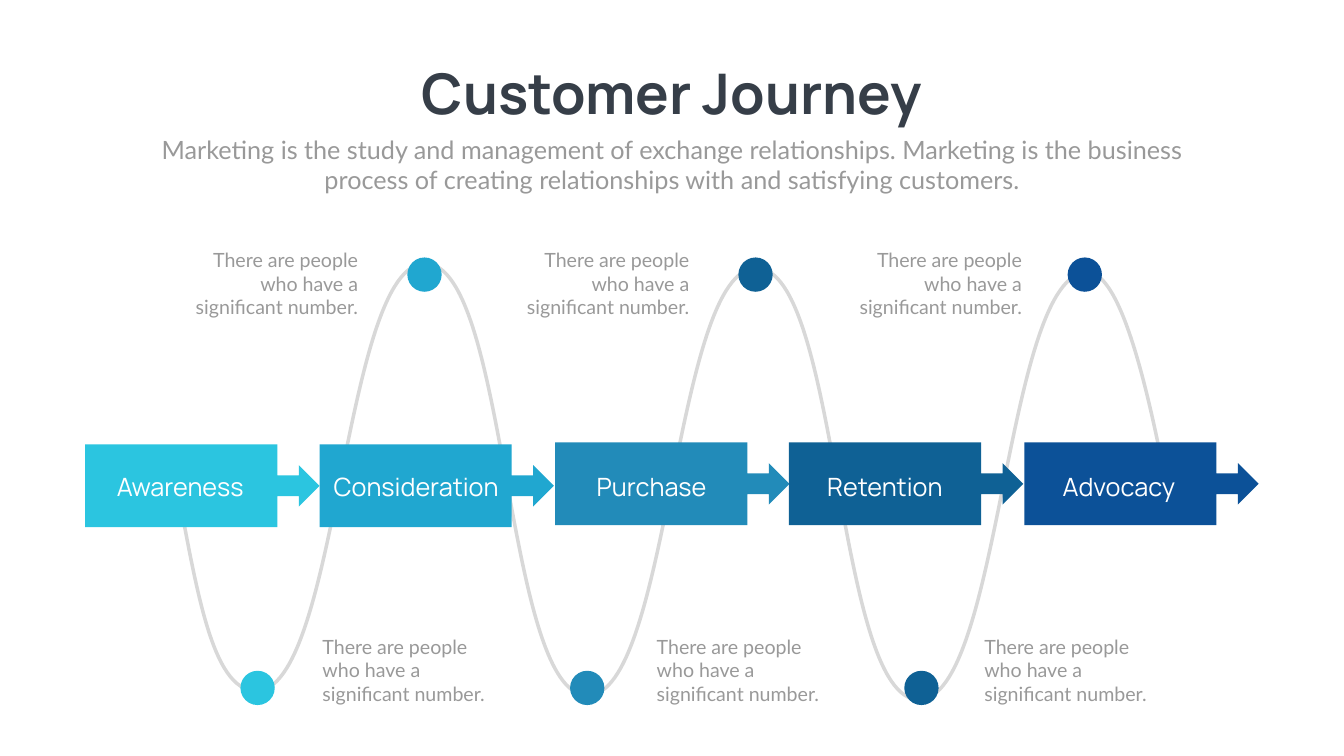
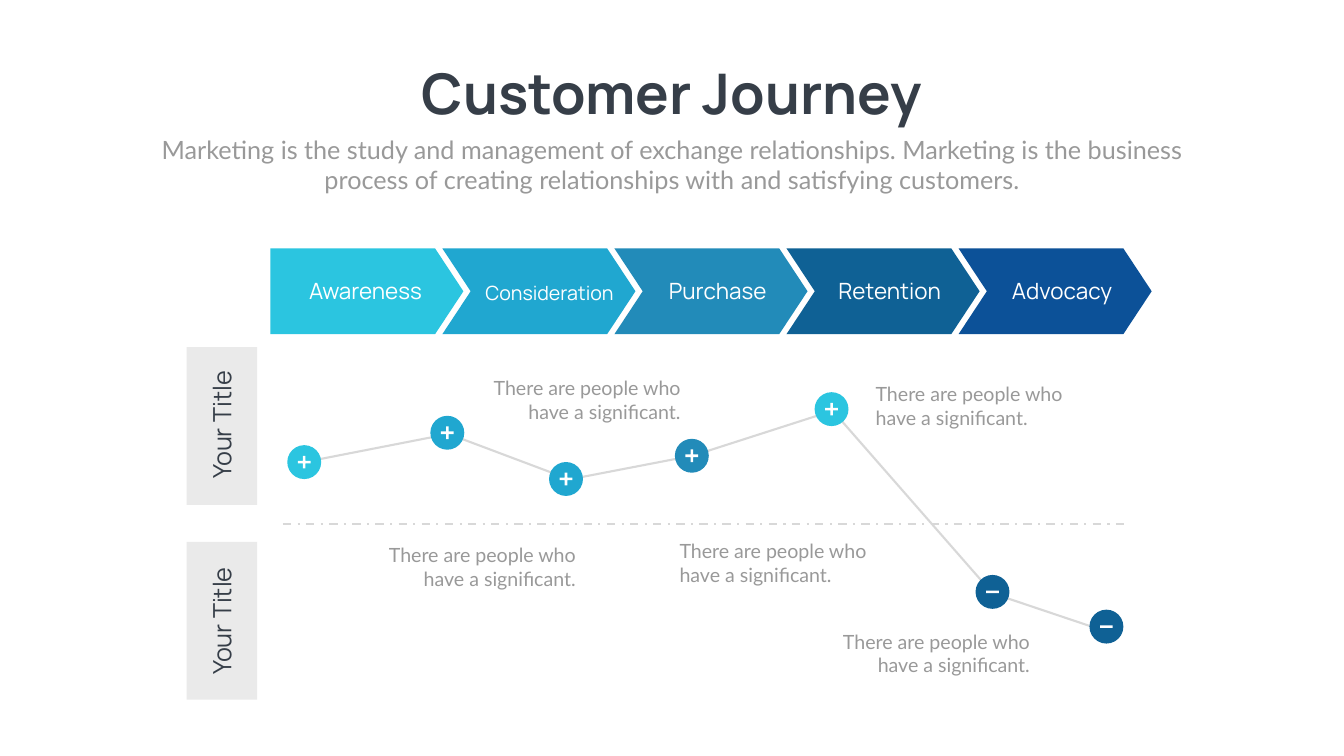
from lxml import etree
from pptx import Presentation
from pptx.dml.color import RGBColor
from pptx.enum.dml import MSO_LINE
from pptx.enum.shapes import MSO_CONNECTOR, MSO_SHAPE as SHAPE
from pptx.enum.text import MSO_ANCHOR, MSO_AUTO_SIZE, PP_ALIGN as ALIGN
from pptx.oxml.ns import qn
from pptx.util import Cm, Pt

CYAN = RGBColor(0x2B, 0xC5, 0xE0)
SKY = RGBColor(0x20, 0xA7, 0xD0)
STEEL = RGBColor(0x22, 0x8B, 0xB9)
OCEAN = RGBColor(0x0F, 0x61, 0x95)
NAVY = RGBColor(0x0C, 0x51, 0x98)
INK = RGBColor(0x36, 0x3E, 0x48)
GRAY = RGBColor(0x99, 0x99, 0x99)
LINE_GRAY = RGBColor(0xD8, 0xD8, 0xD8)
TAB_GRAY = RGBColor(0xEA, 0xEA, 0xEA)
WHITE = RGBColor(0xFF, 0xFF, 0xFF)

HEADING_FONT = "Manrope"
BODY_FONT = "Lato"

STAGES = [("Awareness", CYAN), ("Consideration", SKY), ("Purchase", STEEL),
          ("Retention", OCEAN), ("Advocacy", NAVY)]
SUBTITLE = ("Marketing is the study and management of exchange relationships. "
            "Marketing is the business process of creating relationships with "
            "and satisfying customers.")
WAVE_CAPTION = "There are people who have a significant number."
TREND_CAPTION = "There are people who have a significant."


def write(frame, text, size, color, font, align, bold=False):
    frame.word_wrap = True
    frame.auto_size = MSO_AUTO_SIZE.NONE
    frame.vertical_anchor = MSO_ANCHOR.TOP
    frame.text = text
    paragraph = frame.paragraphs[0]
    paragraph.alignment = align
    run_font = paragraph.runs[0].font
    run_font.name = font
    run_font.size = Pt(size)
    run_font.bold = bold
    run_font.color.rgb = color


def add_text(slide, text, left, top, width, height, size,
             color=GRAY, font=BODY_FONT, align=ALIGN.CENTER):
    box = slide.shapes.add_textbox(Cm(left), Cm(top), Cm(width), Cm(height))
    write(box.text_frame, text, size, color, font, align)
    return box


def add_label(slide, text, left, top, width, size, color=WHITE):
    return add_text(slide, text, left, top, width, 1.8, size, color, HEADING_FONT)


def add_filled(slide, kind, left, top, width, height, color, adjustments=()):
    shape = slide.shapes.add_shape(kind, Cm(left), Cm(top), Cm(width), Cm(height))
    shape.shadow.inherit = False
    shape.fill.solid()
    shape.fill.fore_color.rgb = color
    shape.line.fill.background()
    for index, value in enumerate(adjustments):
        shape.adjustments[index] = value


def add_centered(slide, kind, x, y, width, height, color, adjustments=()):
    add_filled(slide, kind, x - width / 2, y - height / 2,
               width, height, color, adjustments)


def add_path(slide, points, weight):
    """Draw an open gray line through points given in centimetres."""
    start, *rest = [(Cm(x), Cm(y)) for x, y in points]
    builder = slide.shapes.build_freeform(*start)
    builder.add_line_segments(rest, close=False)
    path = builder.convert_to_shape()
    path.shadow.inherit = False
    path.fill.background()
    path.line.color.rgb = LINE_GRAY
    path.line.width = Pt(weight)
    return path


def bend(path):
    """Turn every three straight segments into one cubic curve."""
    outline = next(path._element.iter(qn("a:path")))
    segments = outline.findall(qn("a:lnTo"))
    for first in range(0, len(segments), 3):
        curve = etree.SubElement(outline, qn("a:cubicBezTo"))
        for segment in segments[first:first + 3]:
            curve.append(segment[0])
            outline.remove(segment)


def add_divider(slide, left, right, y):
    divider = slide.shapes.add_connector(
        MSO_CONNECTOR.STRAIGHT, Cm(left), Cm(y), Cm(right), Cm(y))
    divider.line.color.rgb = LINE_GRAY
    divider.line.width = Pt(3)
    divider.line.dash_style = MSO_LINE.DASH_DOT
    etree.SubElement(divider._element.spPr, qn("a:effectLst"))


def wave_points():
    """Return the start, then two handles and an end for each curve."""
    turns = [(12.9, 34.82), (21.44, 13.28), (29.59, 35.05),
             (38.13, 13.51), (46.28, 35.26), (54.81, 13.72)]
    reach, drift = 4.17, 0.05
    points = [(8.76, 23.65), (9.88, 29.51), (10.62, 34.8), turns[0]]
    for (x1, y1), (x2, y2) in zip(turns, turns[1:]):
        points += [(x1 + reach, y1 + drift), (x2 - reach, y2 - drift), (x2, y2)]
    return points + [(56.49, 13.74), (57.84, 19.71), (58.67, 23.93)]


def add_journey_slide(deck):
    slide = deck.slides.add_slide(deck.slide_layouts[5])
    title = slide.shapes.title
    title.left, title.top, title.width, title.height = (
        Cm(19.94), Cm(2.84), Cm(27.84), Cm(3.68))
    write(title.text_frame, "Customer Journey", 80, INK, HEADING_FONT,
          ALIGN.CENTER, bold=True)
    add_text(slide, SUBTITLE, 7.42, 6.63, 52.88, 3.33, 36)
    return slide


def build_wave_slide(deck):
    slide = add_journey_slide(deck)
    bend(add_path(slide, wave_points(), 5))

    callout_lefts = [4.29, 16.1, 27.97, 39.75, 51.61]
    for index, (left, (_, color)) in enumerate(zip(callout_lefts, STAGES)):
        top = 22.4 if index < 2 else 22.3
        add_filled(slide, SHAPE.RIGHT_ARROW_CALLOUT, left, top,
                   11.81, 4.17, color, (0.25, 0.25, 0.25, 0.82))
    label_centers = [9.08, 20.97, 32.83, 44.59, 56.38]
    for center, (stage, _) in zip(label_centers, STAGES):
        width = 12.47 if stage == "Consideration" else 9.07
        add_label(slide, stage, center - width / 2, 23.61, width, 36)

    stops = [(12.98, 16, CYAN), (21.39, 9.22, SKY), (29.59, 32.84, STEEL),
             (38.07, 25.91, OCEAN), (46.43, 49.35, OCEAN), (54.66, 42.67, NAVY)]
    for index, (dot_x, caption_left, color) in enumerate(stops):
        at_peak = index % 2 == 1
        dot_y, caption_top = (13.84, 12.37) if at_peak else (34.67, 31.85)
        add_centered(slide, SHAPE.OVAL, dot_x, dot_y, 1.73, 1.73, color)
        add_text(slide, WAVE_CAPTION, caption_left, caption_top, 9.07, 3.84, 28,
                 align=ALIGN.RIGHT if at_peak else ALIGN.LEFT)


def add_marker(slide, x, y, color, positive):
    add_centered(slide, SHAPE.OVAL, x, y, 1.71, 1.71, color)
    if positive:
        add_centered(slide, SHAPE.CROSS, x, y, 0.64, 0.64, WHITE, (0.4,))
    else:
        add_centered(slide, SHAPE.RECTANGLE, x, y, 0.64, 0.13, WHITE)


def add_row_tab(slide, top, label_top):
    add_filled(slide, SHAPE.RECTANGLE, 9.4, top, 3.56, 7.95, TAB_GRAY)
    label = add_label(slide, "Your Title", 6.45, label_top, 9.42, 36, INK)
    label.rotation = 270


def build_trend_slide(deck):
    slide = add_journey_slide(deck)

    label_lefts = [13.21, 22.48, 30.96, 39.62, 48.31]
    for index, ((stage, color), label_left) in enumerate(zip(STAGES, label_lefts)):
        kind = SHAPE.CHEVRON if index else SHAPE.PENTAGON
        add_filled(slide, kind, 13.62 + index * 8.67, 12.52, 9.73, 4.32,
                   color, (0.33,))
        top, size = (14.02, 28) if stage == "Consideration" else (13.84, 32)
        add_label(slide, stage, label_left, top, 10.41, size)

    add_row_tab(slide, 17.5, 20.52)
    add_row_tab(slide, 27.31, 30.4)

    add_divider(slide, 14.25, 56.9, 26.42)
    trend = [(15.34, 23.29), (22.61, 21.87), (28.7, 24.16), (34.93, 22.96),
             (41.96, 20.7), (50.01, 29.9), (55.75, 31.83)]
    add_path(slide, trend, 3)
    markers = [(15.33, 23.29, CYAN, True), (22.54, 21.81, SKY, True),
               (28.52, 24.14, SKY, True), (34.86, 22.97, STEEL, True),
               (41.9, 20.62, CYAN, True), (50.01, 29.83, OCEAN, False),
               (55.75, 31.58, OCEAN, False)]
    for marker in markers:
        add_marker(slide, *marker)

    captions = [(43.87, 19.13, ALIGN.LEFT), (18.01, 27.25, ALIGN.RIGHT),
                (23.29, 18.82, ALIGN.RIGHT), (40.89, 31.6, ALIGN.RIGHT),
                (33.99, 27.05, ALIGN.LEFT)]
    for left, top, align in captions:
        width = 10.36 if align == ALIGN.LEFT else 11.25
        add_text(slide, TREND_CAPTION, left, top, width, 2.64, 28, align=align)


def main():
    deck = Presentation()
    deck.slide_width, deck.slide_height = Cm(67.72), Cm(38.1)
    build_wave_slide(deck)
    build_trend_slide(deck)
    deck.save("out.pptx")


if __name__ == "__main__":
    main()
